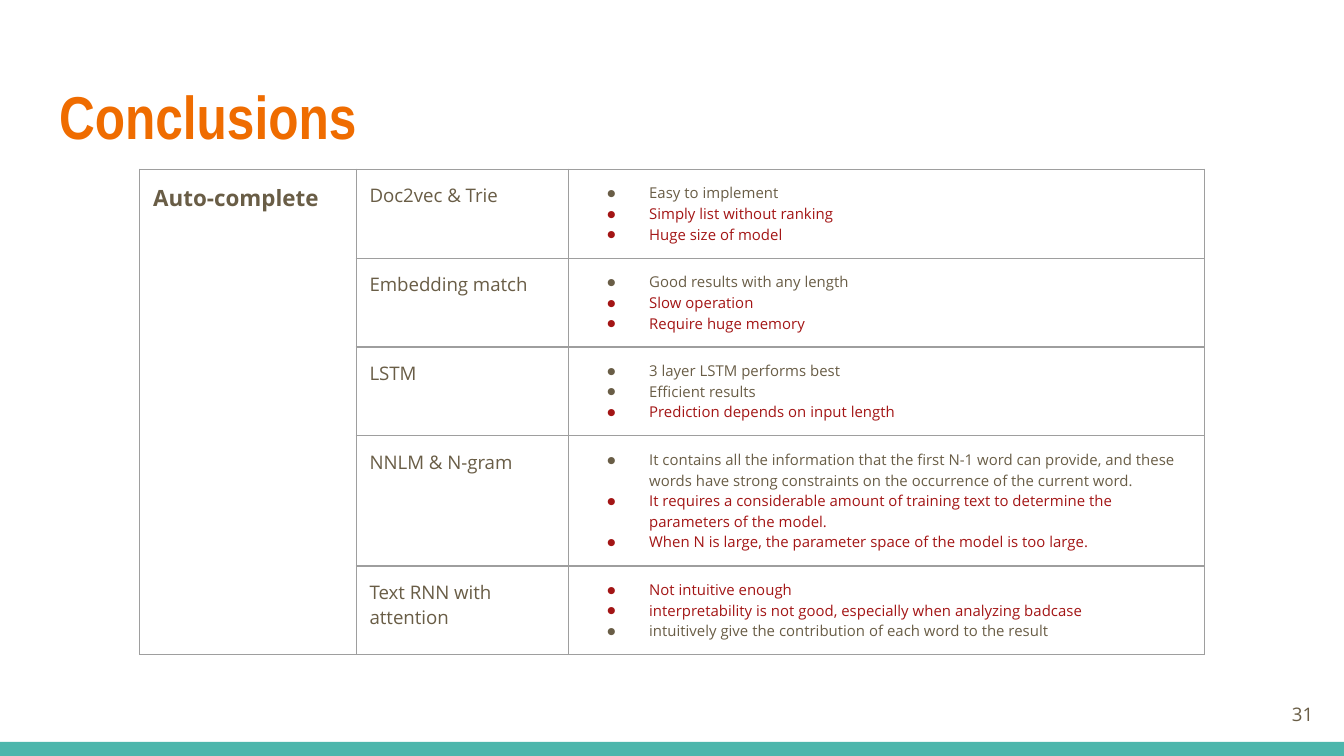
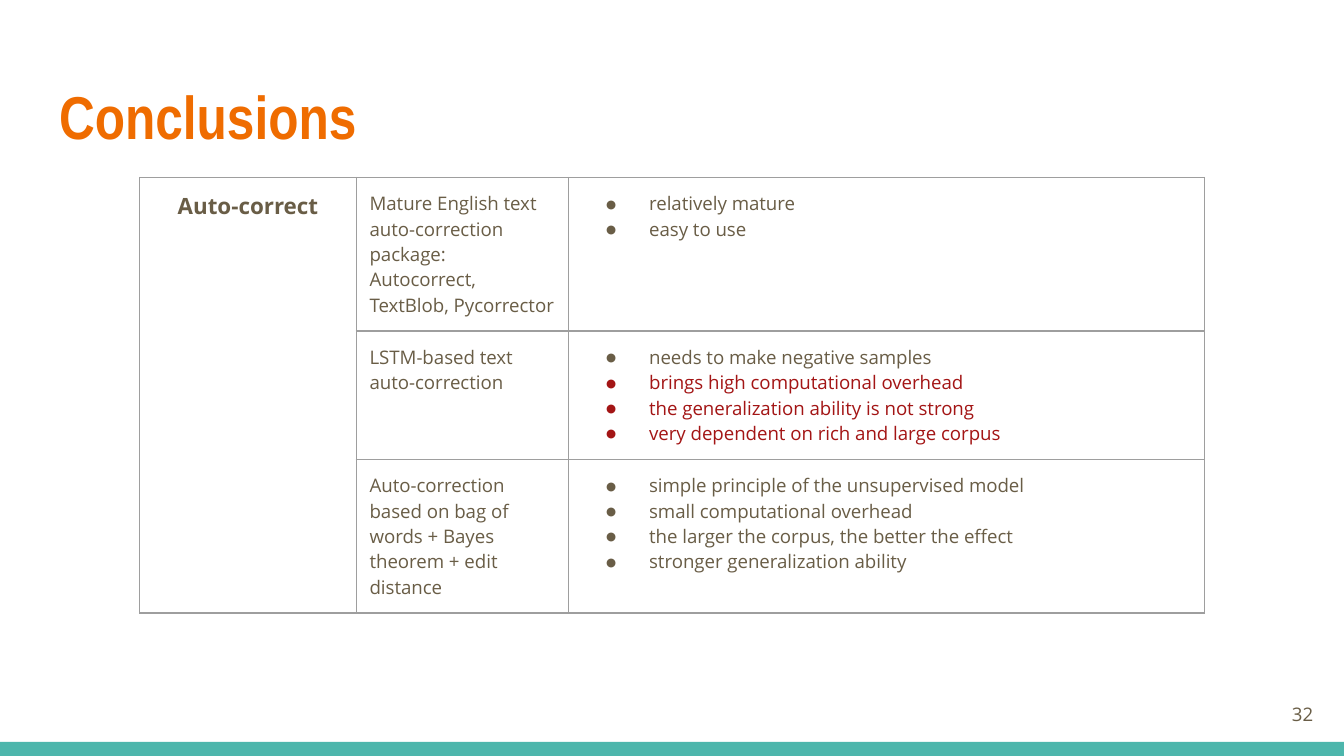
from lxml import etree
from pptx import Presentation
from pptx import util as u
from pptx.dml.color import RGBColor
from pptx.enum import shapes, text
from pptx.oxml import ns

COLORS = {"title": "EF6C00", "band": "4DB6AC", "plain": "695D46",
          "drawback": "A31515", "border": "9E9E9E", "page": "FFFFFF"}
HEAD_FONT, BODY_FONT = "Arial Narrow", "Open Sans"
COLUMNS = (1.61, 1.58, 4.73)
TABLE_LEFT = 1.04
PLAIN, DRAWBACK = "plain", "drawback"


def rgb(name):
    return RGBColor.from_string(COLORS[name])


def add_element(parent, tag, **attributes):
    return etree.SubElement(parent, ns.qn(tag), attributes)


class Deck:
    def __init__(self):
        self.prs = Presentation()
        self.prs.slide_width = u.Inches(10)
        self.prs.slide_height = u.Inches(10 * 9 / 16)
        self.slide = None

    def start(self, title, number):
        self.slide = self.prs.slides.add_slide(self.prs.slide_layouts[5])
        fill = self.slide.background.fill
        fill.solid()
        fill.fore_color.rgb = rgb("page")
        self.band()
        self.title(title)
        self.page_number(number)

    def band(self):
        band = self.slide.shapes.add_shape(
            shapes.MSO_SHAPE.RECTANGLE, 0, u.Inches(5.52), u.Inches(10), u.Inches(0.11))
        band.shadow.inherit = False
        band.fill.solid()
        band.fill.fore_color.rgb = rgb("band")
        band.line.fill.background()

    def title(self, words):
        title = self.slide.shapes.title
        title.left, title.top = u.Inches(0.34), u.Inches(0.49)
        title.width, title.height = u.Inches(9.32), u.Inches(0.77)
        self.frame(title.text_frame, text.MSO_ANCHOR.TOP)
        title.text_frame.text = words
        self.format(title.text_frame.paragraphs[0], 32.4, "title", True,
                    text.PP_ALIGN.LEFT, HEAD_FONT)

    def page_number(self, number):
        box = self.slide.shapes.add_textbox(
            u.Inches(9.27), u.Inches(5.1), u.Inches(0.6), u.Inches(0.43))
        self.frame(box.text_frame, text.MSO_ANCHOR.MIDDLE)
        box.text_frame.text = str(number)
        self.format(box.text_frame.paragraphs[0], 10, align=text.PP_ALIGN.RIGHT)

    def frame(self, frame, anchor):
        frame.word_wrap = True
        frame.auto_size = text.MSO_AUTO_SIZE.NONE
        frame.vertical_anchor = anchor
        frame.margin_left = frame.margin_right = u.Inches(0.1)
        frame.margin_top = frame.margin_bottom = u.Inches(0.1)

    def format(self, paragraph, size, color=PLAIN, bold=False,
               align=text.PP_ALIGN.LEFT, font=BODY_FONT):
        paragraph.alignment = align
        for run in paragraph.runs:
            run.font.name = font
            run.font.size = u.Pt(size)
            run.font.bold = bold
            run.font.color.rgb = rgb(color)

    def bullet(self, paragraph, color, hang):
        props = paragraph._p.get_or_add_pPr()
        props.set("marL", str(u.Inches(0.5)))
        props.set("indent", str(-u.Inches(hang)))
        add_element(add_element(props, "a:buClr"), "a:srgbClr", val=COLORS[color])
        add_element(props, "a:buSzPct", val="62000")
        add_element(props, "a:buFont", typeface=BODY_FONT)
        add_element(props, "a:buChar", char="●")

    def cell_style(self, cell):
        cell.margin_left = cell.margin_right = u.Inches(0.1)
        cell.margin_top = cell.margin_bottom = u.Inches(0.1)
        cell.vertical_anchor = text.MSO_ANCHOR.TOP
        cell.fill.background()
        props = cell._tc.get_or_add_tcPr()
        for place, side in enumerate(("a:lnL", "a:lnR", "a:lnT", "a:lnB")):
            line = add_element(props, side, w=str(u.Pt(0.75)))
            add_element(add_element(line, "a:solidFill"), "a:srgbClr", val=COLORS["border"])
            props.insert(place, line)

    def comparison(self, top, task, task_align, methods, point_size, hang):
        heights = [height for height, _, _ in methods]
        table = self.slide.shapes.add_table(
            len(methods), len(COLUMNS), u.Inches(TABLE_LEFT), u.Inches(top),
            u.Inches(sum(COLUMNS)), u.Inches(sum(heights))).table
        table.first_row = table.horz_banding = False
        for column, width in zip(table.columns, COLUMNS):
            column.width = u.Inches(width)
        for row, height in zip(table.rows, heights):
            row.height = u.Inches(height)
        for cell in table.iter_cells():
            self.cell_style(cell)

        task_cell = table.cell(0, 0)
        task_cell.merge(table.cell(len(methods) - 1, 0))
        task_cell.text_frame.text = task
        self.format(task_cell.text_frame.paragraphs[0], 12, bold=True, align=task_align)

        for index, (_, method, points) in enumerate(methods):
            method_frame = table.cell(index, 1).text_frame
            method_frame.text = method
            for paragraph in method_frame.paragraphs:
                self.format(paragraph, 10)
            points_frame = table.cell(index, 2).text_frame
            points_frame.text = "\n".join(words for words, _ in points)
            for paragraph, (_, color) in zip(points_frame.paragraphs, points):
                self.bullet(paragraph, color, hang)
                self.format(paragraph, point_size, color)


AUTO_COMPLETE = [
    (0.66, "Doc2vec & Trie", [
        ("Easy to implement", PLAIN),
        ("Simply list without ranking", DRAWBACK),
        ("Huge size of model", DRAWBACK)]),
    (0.66, "Embedding match", [
        ("Good results with any length", PLAIN),
        ("Slow operation", DRAWBACK),
        ("Require huge memory", DRAWBACK)]),
    (0.66, "LSTM", [
        ("3 layer LSTM performs best", PLAIN),
        ("Efficient results", PLAIN),
        ("Prediction depends on input length", DRAWBACK)]),
    (0.96, "NNLM & N-gram", [
        ("It contains all the information that the first N-1 word can provide, and these "
         "words have strong constraints on the occurrence of the current word.", PLAIN),
        ("It requires a considerable amount of training text to determine the "
         "parameters of the model.", DRAWBACK),
        ("When N is large, the parameter space of the model is too large.", DRAWBACK)]),
    (0.66, "Text RNN with attention", [
        ("Not intuitive enough", DRAWBACK),
        ("interpretability is not good, especially when analyzing badcase", DRAWBACK),
        ("intuitively give the contribution of each word to the result", PLAIN)]),
]

AUTO_CORRECT = [
    (1.14, "Mature English text auto-correction package:\n"
           "Autocorrect, TextBlob, Pycorrector", [
        ("relatively mature", PLAIN),
        ("easy to use", PLAIN)]),
    (0.95, "LSTM-based text auto-correction", [
        ("needs to make negative samples", PLAIN),
        ("brings high computational overhead", DRAWBACK),
        ("the generalization ability is not strong", DRAWBACK),
        ("very dependent on rich and large corpus", DRAWBACK)]),
    (1.14, "Auto-correction based on bag of words + Bayes theorem + edit distance", [
        ("simple principle of the unsupervised model", PLAIN),
        ("small computational overhead", PLAIN),
        ("the larger the corpus, the better the effect", PLAIN),
        ("stronger generalization ability", PLAIN)]),
]


def main():
    deck = Deck()
    deck.start("Conclusions", 31)
    deck.comparison(1.26, "Auto-complete", text.PP_ALIGN.LEFT, AUTO_COMPLETE, 8, 0.31)
    deck.start("Conclusions", 32)
    deck.comparison(1.32, "Auto-correct", text.PP_ALIGN.CENTER, AUTO_CORRECT, 10, 0.32)
    deck.prs.save("out.pptx")


if __name__ == "__main__":
    main()
